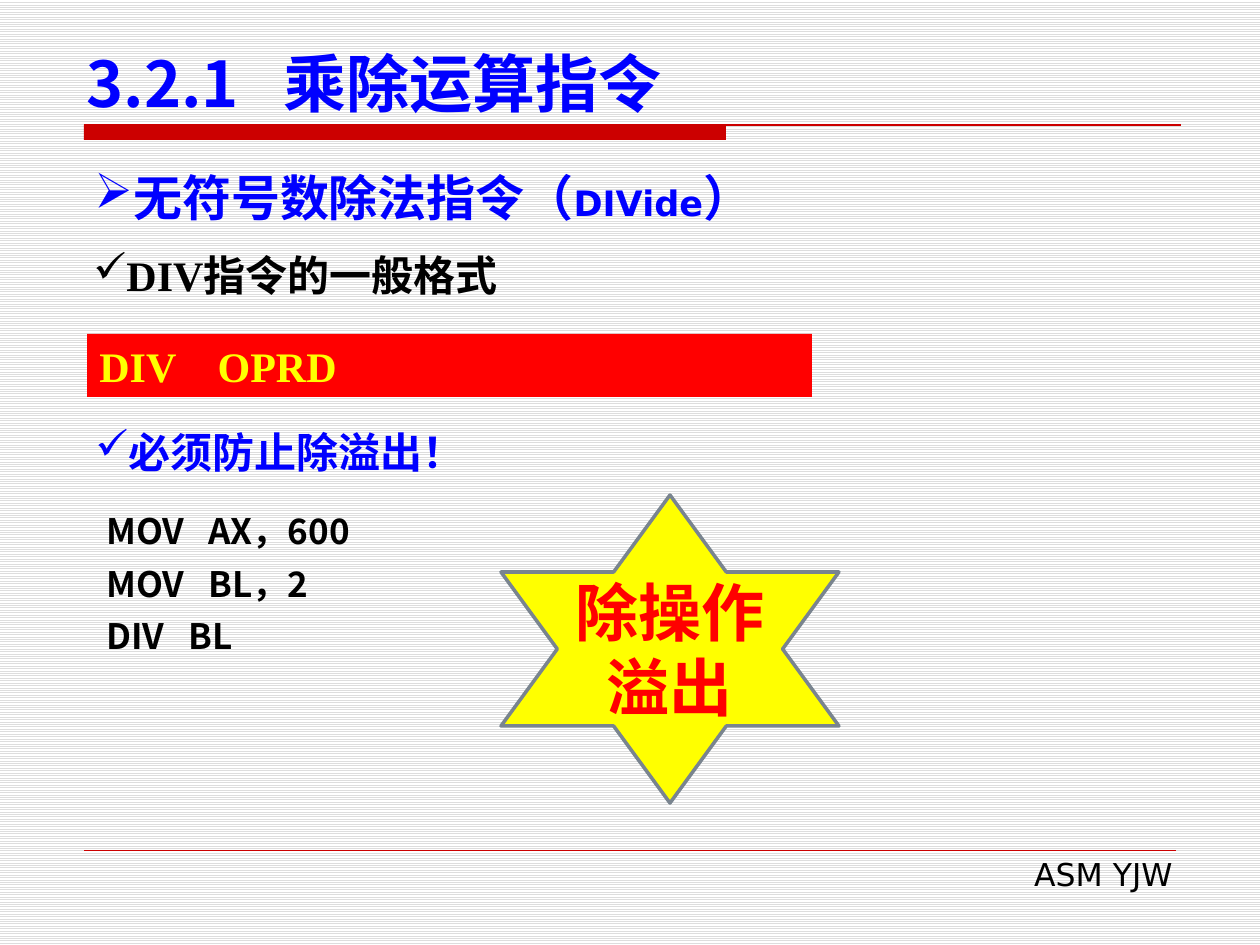
from lxml import etree
from pptx import Presentation
from pptx.dml.color import RGBColor
from pptx.enum.dml import MSO_PATTERN as Pat
from pptx.enum.shapes import MSO_CONNECTOR as Conn, MSO_SHAPE as Kind
from pptx.enum.text import MSO_ANCHOR as Anchor, PP_ALIGN as Align
from pptx.oxml.ns import qn
from pptx.util import Pt

PX = 914400 / 126
BLACK = RGBColor(0, 0, 0)
WHITE = RGBColor(255, 255, 255)
PALE = RGBColor(0xDD, 0xDD, 0xDD)
GRAY = RGBColor(0x79, 0x84, 0x8F)
BLUE = RGBColor(0, 0, 255)
RED = RGBColor(255, 0, 0)
DARK = RGBColor(0xCC, 0, 0)
GOLD = RGBColor(255, 255, 0)
SANS = "DejaVu Sans"
HAN = "Noto Sans CJK SC"
SERIF = "Times New Roman"


def area(*box):
    return [round(n * PX) for n in box]


def write(shape, lines, size, face, color, bold=True, align=Align.LEFT,
          anchor=Anchor.TOP, mark=None, tab=None, pitch=None):
    frame = shape.text_frame
    frame.word_wrap = True
    frame.vertical_anchor = anchor
    for i, line in enumerate(lines):
        para = frame.paragraphs[0] if i == 0 else frame.add_paragraph()
        for part, pts in line if isinstance(line, list) else [(line, None)]:
            run = para.add_run()
            run.text = part
            if pts:
                run.font.size = Pt(pts)
        props = para._p.get_or_add_pPr()
        if mark:
            props.set("marL", "0")
            props.set("indent", "0")
            etree.SubElement(props, qn("a:buChar"), char=mark)
        if tab:
            tabs = etree.SubElement(props, qn("a:tabLst"))
            etree.SubElement(tabs, qn("a:tab"), pos=str(round(tab * PX)), algn="l")
        para.alignment = align
        if pitch:
            para.line_spacing = Pt(pitch)
        font = para.font
        font.size = Pt(size)
        font.bold = bold
        font.color.rgb = color
        font.name = face
        etree.SubElement(props.find(qn("a:defRPr")), qn("a:ea"), typeface=HAN)


deck = Presentation()
deck.slide_width, deck.slide_height = area(1260, 945)
slide = deck.slides.add_slide(deck.slide_layouts[6])
shapes = slide.shapes

back = slide.background.fill
back.patterned()
back.pattern = Pat.LIGHT_HORIZONTAL
back.fore_color.rgb = PALE
back.back_color.rgb = WHITE

for end, y, width in [(1181, 125, 0.75), (1176, 850, 0.25)]:
    rule = shapes.add_connector(Conn.STRAIGHT, *area(84, y, end, y))
    rule.line.color.rgb = DARK
    rule.line.width = Pt(width)
    etree.SubElement(rule._element.spPr, qn("a:effectLst"))

solids = []
for kind, box, color in [
    (Kind.RECTANGLE, (84, 125, 642, 15), DARK),
    (Kind.RECTANGLE, (87, 334, 725, 63), RED),
    (Kind.STAR_6_POINT, (501, 495, 338, 308), GOLD),
]:
    solid = shapes.add_shape(kind, *area(*box))
    solid.shadow.inherit = False
    solid.fill.solid()
    solid.fill.fore_color.rgb = color
    solid.line.fill.background()
    solids.append(solid)
bar, band, star = solids
star.line.color.rgb = GRAY
star.line.width = Pt(2)
write(band, ["DIV    OPRD"], 24, SERIF, GOLD)
write(star, ["除操作溢出"], 36, SANS, RED, align=Align.CENTER, anchor=Anchor.MIDDLE)

head = [("无符号数除法指令（", 28), ("DIVide", 20), ("）", 28)]
code = ["MOV   AX，600", "MOV   BL，2", "DIV   BL"]
for box, lines, size, face, color, more in [
    ((74, 37, 1142, 89), ["3.2.1\t乘除运算指令"], 36, HAN, BLUE,
     dict(anchor=Anchor.BOTTOM, tab=197)),
    ((82, 161, 1091, 72), [head], 28, SANS, BLUE,
     dict(align=Align.JUSTIFY, mark="➢")),
    ((81, 243, 924, 63), ["DIV指令的一般格式"], 24, SERIF, BLACK, dict(mark="✓")),
    ((83, 420, 1092, 63), ["必须防止除溢出！"], 24, SERIF, BLUE, dict(mark="✓")),
    ((94, 493, 985, 171), code, 20, HAN, BLACK, dict(pitch=30)),
    ((481, 849, 704, 50), ["ASM YJW"], 18, SANS, BLACK,
     dict(bold=False, align=Align.RIGHT)),
]:
    write(shapes.add_textbox(*area(*box)), lines, size, face, color, **more)

deck.save("out.pptx")
